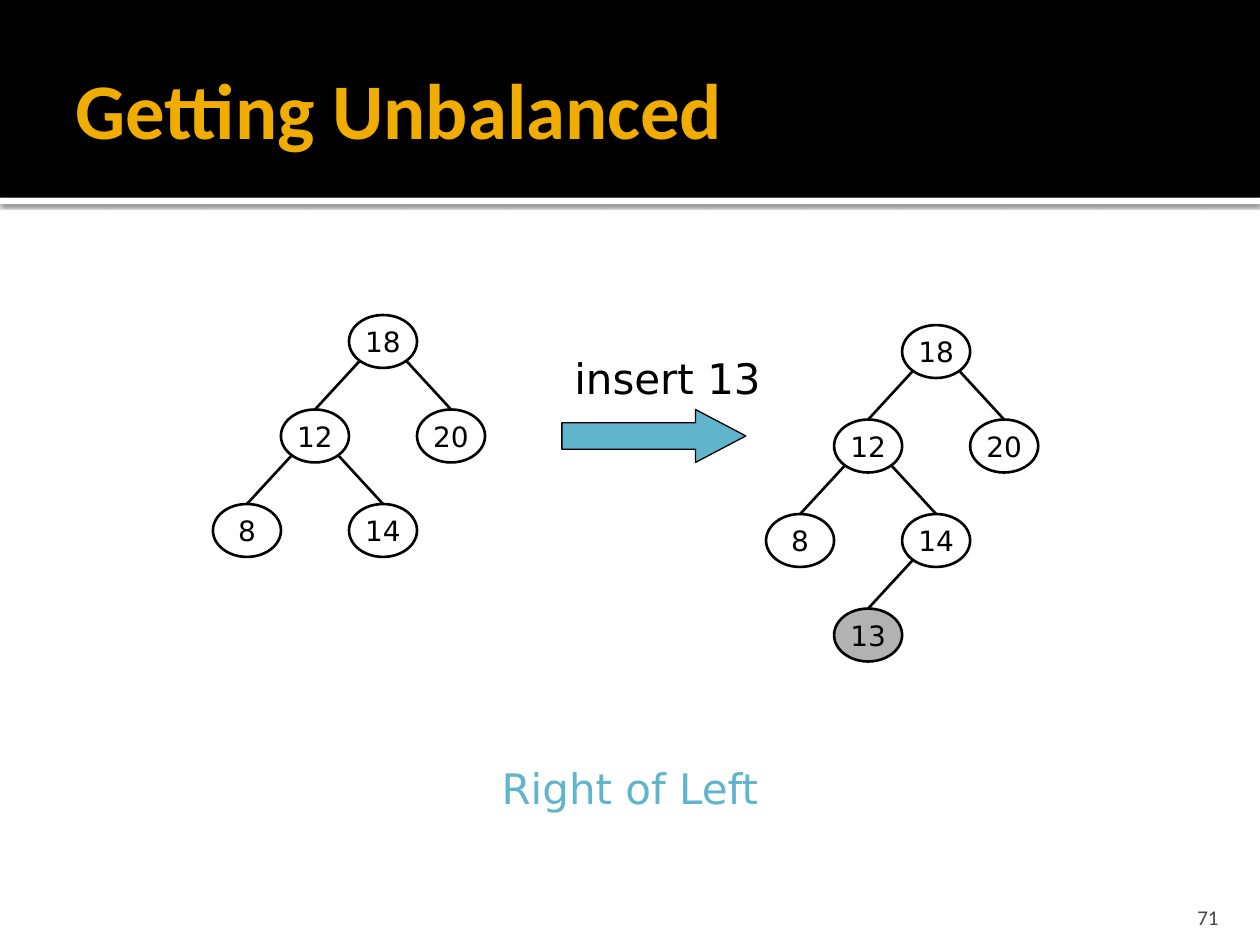
import pptx
import pptx.util
import pptx.dml.color
import pptx.oxml
import pptx.oxml.ns
from dataclasses import dataclass
from pptx.enum.shapes import MSO_CONNECTOR, MSO_SHAPE
from pptx.enum.text import MSO_ANCHOR, PP_ALIGN
from pptx.util import Inches


@dataclass(frozen=True)
class Theme:
    black: str = "000000"
    white: str = "FFFFFF"
    gold: str = "F0AD00"
    teal: str = "60B5CC"
    new_node: str = "B2B2B2"
    page_number: str = "454545"
    heading_font: str = "Calibri"
    body_font: str = "DejaVu Sans"
    title_size: float = 45
    label_size: float = 24
    node_size: float = 16
    number_size: float = 12


theme = Theme()
color = pptx.dml.color.RGBColor.from_string


def add_text(box, text, size, ink, font=theme.body_font, align=PP_ALIGN.LEFT,
             anchor=MSO_ANCHOR.TOP, wrap=True, bold=False):
    frame = box.text_frame
    frame.word_wrap = wrap
    frame.vertical_anchor = anchor
    para = frame.paragraphs[0]
    para.alignment = align
    span = para.add_run()
    span.text = text
    span.font.size = pptx.util.Pt(size)
    span.font.name = font
    span.font.bold = bold
    span.font.color.rgb = color(ink)
    return frame


def add_shape(kind, left, top, width, height, fill=None, line_width=None):
    shape = page.shapes.add_shape(kind, Inches(left), Inches(top), Inches(width), Inches(height))
    shape.shadow.inherit = False
    if fill:
        shape.fill.solid()
        shape.fill.fore_color.rgb = color(fill)
    else:
        shape.fill.background()
    if line_width:
        shape.line.color.rgb = color(theme.black)
        shape.line.width = pptx.util.Pt(line_width)
    else:
        shape.line.fill.background()
    return shape


deck = pptx.Presentation()
deck.slide_width, deck.slide_height = Inches(10), Inches(7.5)
page = deck.slides.add_slide(deck.slide_layouts[6])

# Header band with a shadowed white rule below it
rule = add_shape(MSO_SHAPE.RECTANGLE, 0, 1.57, 10, 0.05, theme.white)
effects = rule._element.spPr.find(pptx.oxml.ns.qn("a:effectLst"))
effects.append(pptx.oxml.parse_xml(
    f'<a:outerShdw {pptx.oxml.ns.nsdecls("a")} blurRad="31750" dist="10160" dir="5400000">'
    f'<a:srgbClr val="{theme.black}"><a:alpha val="60000"/></a:srgbClr></a:outerShdw>'))
add_shape(MSO_SHAPE.RECTANGLE, 0, 0, 10, 1.57, theme.black)

# Page number and title
number = page.shapes.add_textbox(Inches(8.97), Inches(7.08), Inches(0.8), Inches(0.3))
add_text(number, "71", theme.number_size, theme.page_number, theme.heading_font,
         PP_ALIGN.RIGHT, MSO_ANCHOR.BOTTOM).margin_bottom = 0
title = page.shapes.add_textbox(Inches(0.5), Inches(0.17), Inches(9), Inches(1.37))
add_text(title, "Getting Unbalanced", theme.title_size, theme.gold, theme.heading_font,
         anchor=MSO_ANCHOR.MIDDLE, bold=True).margin_right = Inches(0.05)

# Trees: each node is value, column from the root, level, parent value
node_width, node_height, level_step = 0.54, 0.42, 0.75
edge_inset, edge_rise = 0.08, 0.05
before = [("18", 0, 0, None), ("12", -1, 1, "18"), ("20", 1, 1, "18"),
          ("8", -2, 2, "12"), ("14", 0, 2, "12")]
after = before + [("13", -1, 3, "14")]

for root_left, root_top, nodes in [(2.77, 2.5, before), (7.16, 2.58, after)]:
    placed = {}
    for value, column, level, parent in nodes:
        left = root_left + column * node_width
        top = root_top + level * level_step
        fill = theme.new_node if value == "13" else None
        node = add_shape(MSO_SHAPE.OVAL, left, top, node_width, node_height, fill, 1.5)
        add_text(node, value, theme.node_size, theme.black, align=PP_ALIGN.CENTER,
                 anchor=MSO_ANCHOR.MIDDLE, wrap=False)
        placed[value] = (left, top, column)
        if parent:
            parent_left, parent_top, parent_column = placed[parent]
            offset = edge_inset if column < parent_column else node_width - edge_inset
            edge = page.shapes.add_connector(
                MSO_CONNECTOR.STRAIGHT,
                Inches(parent_left + offset), Inches(parent_top + node_height - edge_rise),
                Inches(left + node_width / 2), Inches(top))
            edge.end_connect(node, 0)
            edge.line.color.rgb = color(theme.black)
            edge.line.width = pptx.util.Pt(1.5)
            edge._element.spPr.append(pptx.oxml.parse_xml(
                f'<a:effectLst {pptx.oxml.ns.nsdecls("a")}/>'))

# Insert step between the trees
arrow = add_shape(MSO_SHAPE.RIGHT_ARROW, 4.46, 3.25, 1.46, 0.42, theme.teal, 0.75)
arrow.adjustments[0], arrow.adjustments[1] = 0.5, 0.95
step = page.shapes.add_textbox(Inches(4.46), Inches(2.75), Inches(1.77), Inches(0.5))
add_text(step, "insert 13", theme.label_size, theme.black)

# Name of the case
case = page.shapes.add_textbox(Inches(0), Inches(6), Inches(10), Inches(0.51))
add_text(case, "Right of Left", theme.label_size, theme.teal, align=PP_ALIGN.CENTER)

deck.save("out.pptx")
